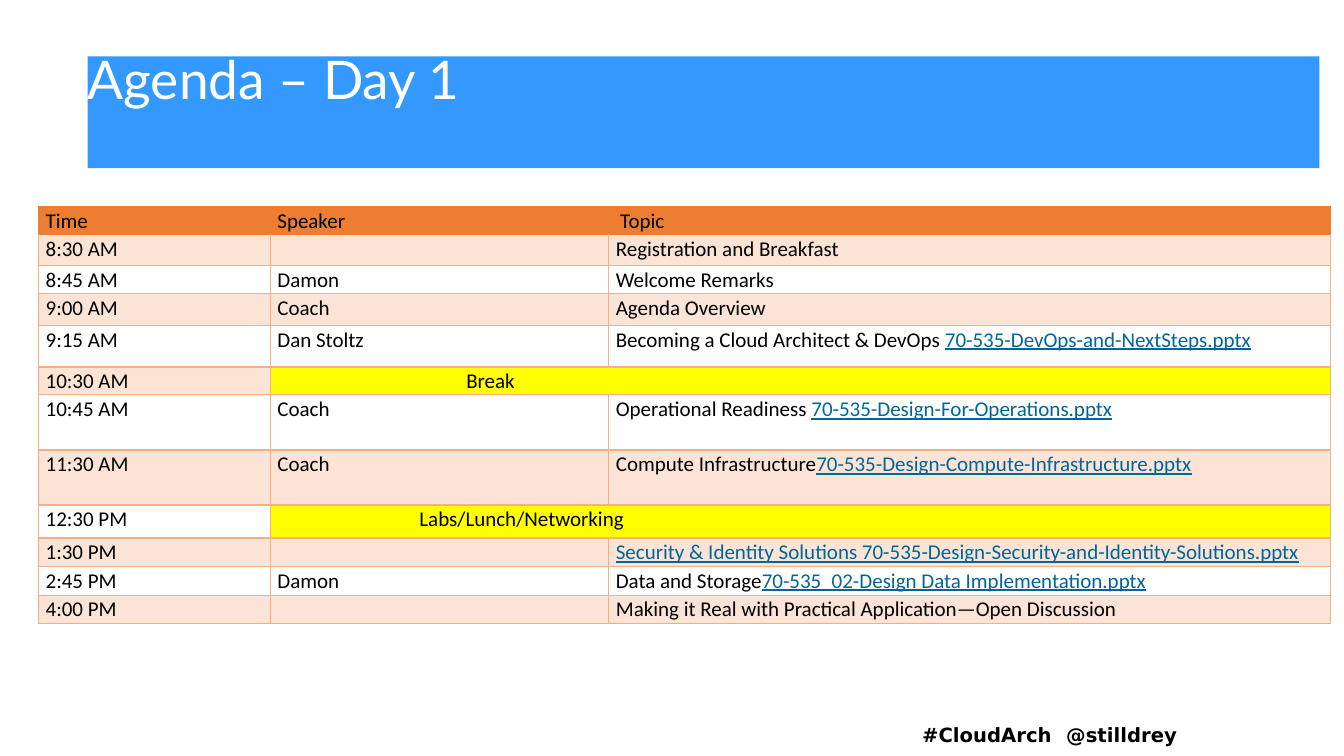
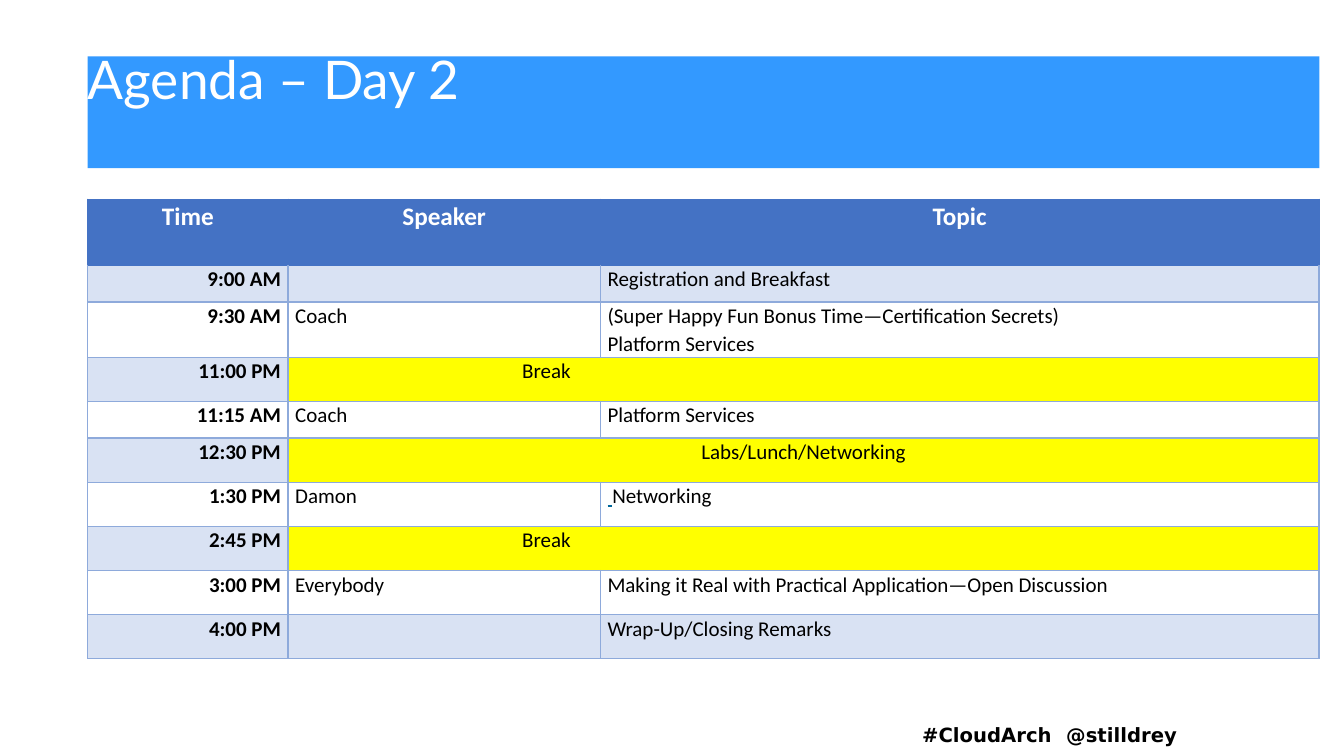
from dataclasses import dataclass

from lxml.etree import SubElement
from pptx import Presentation
from pptx.dml.color import RGBColor
from pptx.enum.text import MSO_ANCHOR, MSO_AUTO_SIZE, PP_ALIGN
from pptx.oxml.ns import qn
from pptx.util import Cm, Pt

TITLE_BLUE, WHITE, BLACK = "3399FF", "FFFFFF", "000000"
LINK, BANNER = "006699", "FFFF00"
TITLE_BOX = (2.21, 1.42, 31.04, 2.82)
FOOTER_BOX = (22.99, 18.08, 10.52, 0.86)
FLUSH = dict(margin_left=0, margin_right=0, margin_top=0, margin_bottom=0)
CELL_MARGINS = dict(FLUSH, margin_left=Cm(0.18), margin_right=Cm(0.18))


@dataclass
class Look:
    """Colours and text formats that set one agenda table apart."""
    accent: str
    tint: str
    border: str
    header: dict
    time: dict


ORANGE = Look("ED7D31", "FBE4D5", "F4B083", dict(color=BLACK), {})
BLUE = Look("4472C4", "D9E2F3", "8EAADB",
            dict(color=WHITE, size=18, bold=True, align=PP_ALIGN.CENTER),
            dict(bold=True, align=PP_ALIGN.RIGHT))

# A row is (height, time, speaker, topic); topic runs alternate plain and link.
# A banner row is (height, time, text, format), spanning speaker and topic.
DAY_1 = [
    (0.79, "8:30 AM", "", ["Registration and Breakfast"]),
    (0.7, "8:45 AM", "Damon", ["Welcome Remarks"]),
    (0.8, "9:00 AM", "Coach", ["Agenda Overview"]),
    (1.05, "9:15 AM", "Dan Stoltz",
     ["Becoming a Cloud Architect & DevOps ", "70-535-DevOps-and-NextSteps.pptx"]),
    (0.7, "10:30 AM", "Break", dict(left=4.76)),
    (1.39, "10:45 AM", "Coach",
     ["Operational Readiness ", "70-535-Design-For-Operations.pptx"]),
    (1.39, "11:30 AM", "Coach",
     ["Compute Infrastructure", "70-535-Design-Compute-Infrastructure.pptx"]),
    (0.83, "12:30 PM", "Labs/Lunch/Networking", dict(left=3.58)),
    (0.72, "1:30 PM", "",
     ["", "Security & Identity Solutions 70-535-Design-Security-and-Identity-Solutions.pptx"]),
    (0.72, "2:45 PM", "Damon",
     ["Data and Storage", "70-535_02-Design Data Implementation.pptx"]),
    (0.72, "4:00 PM", "", ["Making it Real with Practical Application—Open Discussion"]),
]
DAY_2 = [
    (0.93, "9:00 AM", "", ["Registration and Breakfast"]),
    (1.39, "9:30 AM", "Coach",
     ["(Super Happy Fun Bonus Time—Certification Secrets)\vPlatform Services"]),
    (1.11, "11:00 PM", "Break", dict(left=5.72)),
    (0.93, "11:15 AM", "Coach", ["Platform Services"]),
    (1.11, "12:30 PM", "Labs/Lunch/Networking", dict(align=PP_ALIGN.CENTER)),
    (1.11, "1:30 PM", "Damon", ["", " ", "Networking"]),
    (1.11, "2:45 PM", "Break", dict(left=5.72)),
    (1.11, "3:00 PM", "Everybody",
     ["Making it Real with Practical Application—Open Discussion"]),
    (1.11, "4:00 PM", "", ["Wrap-Up/Closing Remarks"]),
]


def rgb(value):
    return RGBColor.from_string(value)


def apply(target, formats):
    for name, value in formats.items():
        setattr(target, name, value)


def set_font(font, color, **formats):
    apply(font, formats)
    font.color.rgb = rgb(color)


def add_title(s, text, box):
    title = s.shapes.title
    apply(title, dict(zip(("left", "top", "width", "height"), map(Cm, box))))
    title.fill.solid()
    title.fill.fore_color.rgb = rgb(TITLE_BLUE)
    tf = title.text_frame
    tf.text = text
    apply(tf, dict(FLUSH, vertical_anchor=MSO_ANCHOR.TOP, word_wrap=True,
                   auto_size=MSO_AUTO_SIZE.NONE))
    p = tf.paragraphs[0]
    apply(p, dict(alignment=PP_ALIGN.LEFT, line_spacing=0.85, space_before=0))
    set_font(p.runs[0].font, WHITE, name="Lato", size=Pt(38))


def add_footer(s, box):
    tf = s.shapes.add_textbox(*map(Cm, box)).text_frame
    tf.word_wrap = True
    p = tf.paragraphs[0]
    tabs = SubElement(p._p.get_or_add_pPr(), qn("a:tabLst"))
    SubElement(tabs, qn("a:tab"), pos=str(int(Cm(3.63))), algn="l")
    r = p.add_run()
    r.text = "#CloudArch\t@stilldrey"
    set_font(r.font, BLACK, name="DejaVu Sans", size=Pt(14), bold=True)


def style_cell(cell, fill, border, top):
    tcPr = cell._tc.get_or_add_tcPr()
    for side, color in zip("LRTB", (border, border, top, border)):
        ln = SubElement(tcPr, qn(f"a:ln{side}"), w=str(int(Pt(1))))
        SubElement(SubElement(ln, qn("a:solidFill")), qn("a:srgbClr"), val=color)
    cell.fill.solid()
    cell.fill.fore_color.rgb = rgb(fill)
    apply(cell, CELL_MARGINS)


def write_cell(cell, runs, color=BLACK, size=15, bold=False, align=PP_ALIGN.LEFT, left=0):
    """Write runs that alternate between plain text and link style."""
    p = cell.text_frame.paragraphs[0]
    apply(p, dict(alignment=align, line_spacing=1.07))
    if left:
        p._p.get_or_add_pPr().set("marL", str(int(Cm(left))))
    for i, text in enumerate(runs):
        for j, line in enumerate(text.split("\v") if text else []):
            if j:
                p.add_line_break()
            r = p.add_run()
            r.text = line
            set_font(r.font, LINK if i % 2 else color, name="Calibri", size=Pt(size),
                     bold=bold, underline=bool(i % 2))
    if not p.runs:
        SubElement(p._p, qn("a:endParaRPr"), sz=str(size * 100))


def add_agenda(s, left, top, widths, header_height, rows, look, topic_indent=0):
    heights = [header_height] + [row[0] for row in rows]
    table = s.shapes.add_table(len(heights), len(widths), Cm(left), Cm(top),
                               Cm(sum(widths)), Cm(sum(heights))).table
    apply(table, dict(first_row=False, horz_banding=False))
    for column, width in zip(table.columns, widths):
        column.width = Cm(width)
    for row, height in zip(table.rows, heights):
        row.height = Cm(height)

    for i, heading in enumerate(("Time", "Speaker", "Topic")):
        cell = table.cell(0, i)
        style_cell(cell, look.accent, look.accent, look.accent)
        write_cell(cell, [heading], left=topic_indent if i == 2 else 0, **look.header)

    for i, (_, time, speaker, topic) in enumerate(rows, 1):
        is_banner = isinstance(topic, dict)
        band = look.tint if i % 2 else WHITE
        line_above = look.accent if i == 1 else look.border
        for j in range(3):
            style_cell(table.cell(i, j), BANNER if is_banner and j else band,
                       look.border, line_above)
        write_cell(table.cell(i, 0), [time], **look.time)
        if is_banner:
            table.cell(i, 1).merge(table.cell(i, 2))
            write_cell(table.cell(i, 1), [speaker], **topic)
        else:
            write_cell(table.cell(i, 1), [speaker])
            write_cell(table.cell(i, 2), topic)


def add_agenda_slide(prs, title, **agenda):
    s = prs.slides.add_slide(prs.slide_layouts.get_by_name("Title Only"))
    add_footer(s, FOOTER_BOX)
    add_title(s, title, TITLE_BOX)
    add_agenda(s, **agenda)


def main():
    prs = Presentation()
    prs.slide_width, prs.slide_height = Cm(33.87), Cm(19.05)
    add_agenda_slide(prs, "Agenda – Day 1", left=0.97, top=5.2, widths=(5.84, 8.53, 18.19),
                     header_height=0.71, rows=DAY_1, look=ORANGE, topic_indent=0.11)
    add_agenda_slide(prs, "Agenda – Day 2", left=2.21, top=5.02, widths=(5.05, 7.87, 18.11),
                     header_height=1.66, rows=DAY_2, look=BLUE)
    prs.save("out.pptx")


if __name__ == "__main__":
    main()
